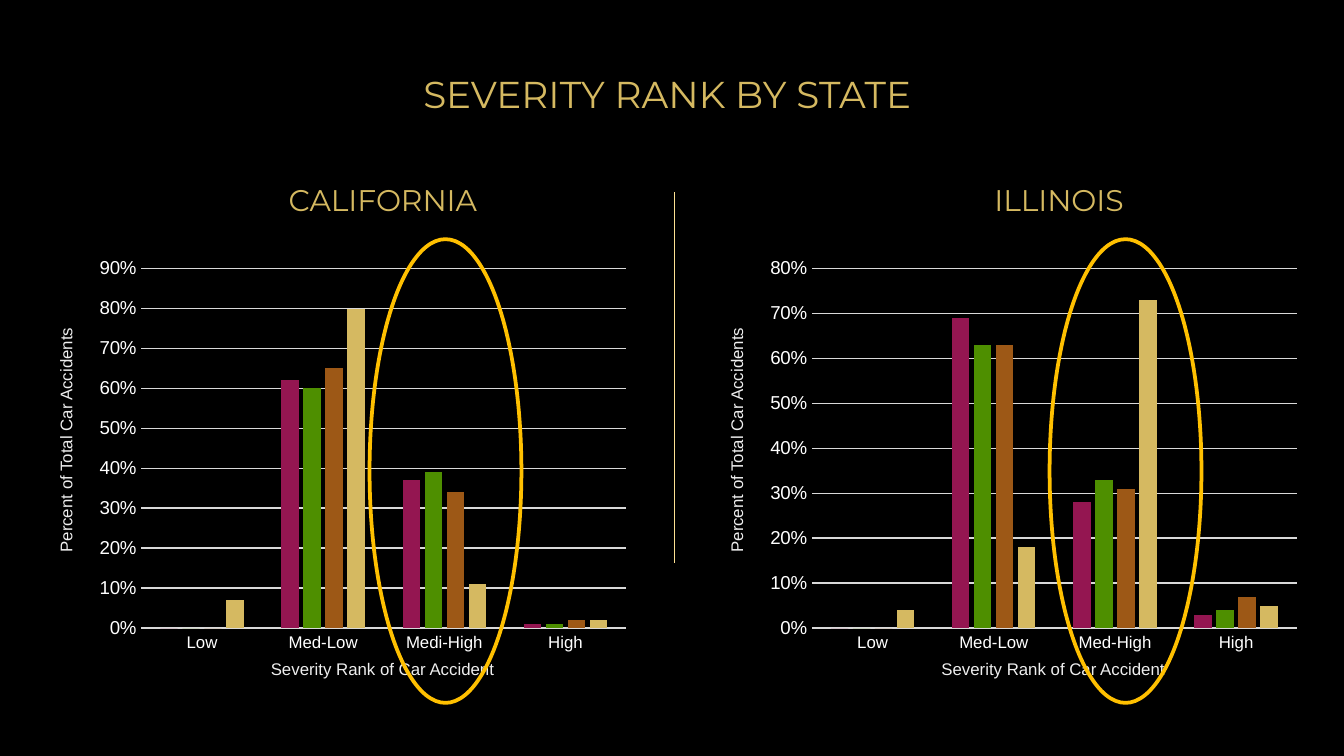
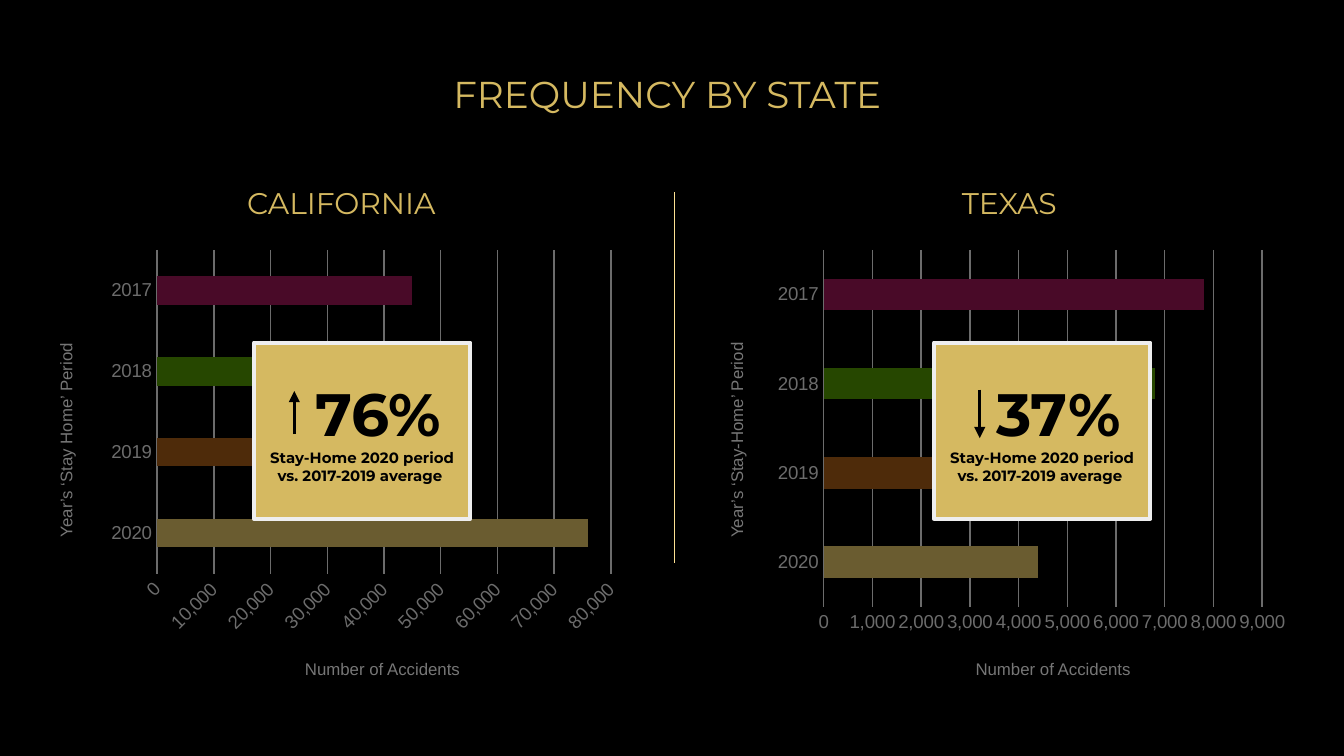
from lxml.etree import SubElement
from pptx import Presentation
from pptx.chart.data import CategoryChartData
from pptx.dml.color import RGBColor
from pptx.enum.chart import XL_CHART_TYPE as CT, XL_TICK_MARK as TICK
from pptx.enum.shapes import MSO_CONNECTOR, MSO_SHAPE
from pptx.enum.text import MSO_ANCHOR, MSO_AUTO_SIZE, PP_ALIGN
from pptx.oxml.ns import qn
from pptx.util import Inches, Pt

BLACK, WHITE, GOLD, PALE, GRID = "000000", "FFFFFF", "D5B961", "EEEEEE", "D9D9D9"
YEAR_COLORS = ["941651", "4E8F00", "9D5816", GOLD]
HEAD_FONT, BODY_FONT = "Montserrat", "Arial"
COLUMN_STEP, BAR_STEP = 4.99, 4.96


def rgb(value):
    return RGBColor.from_string(value)


def style_font(font, name, size, color, bold=None):
    font.name, font.size, font.bold = name, Pt(size), bold
    font.color.rgb = rgb(color)


class Deck:
    def __init__(self):
        self.prs = Presentation()
        self.prs.slide_width = Inches(10)
        self.prs.slide_height = Inches(10) * 9 // 16
        self.s = None

    def slide(self, title):
        self.s = self.prs.slides.add_slide(self.prs.slide_layouts[6])
        fill = self.s.background.fill
        fill.solid()
        fill.fore_color.rgb = rgb(BLACK)
        self.heading(title, 0.84, 0.4, 8.25, 20)
        self.line(5.02, 1.43, 4.19, "FCE193", 0.75)

    def text(self, text, x, y, w, h, font, size, color):
        sp = self.s.shapes.add_textbox(Inches(x), Inches(y), Inches(w), Inches(h))
        tf = sp.text_frame
        tf.word_wrap = True
        tf.text = text
        p = tf.paragraphs[0]
        p.alignment = PP_ALIGN.CENTER
        style_font(p.runs[0].font, font, size, color)
        return sp

    def heading(self, text, x, y, w, size=16):
        sp = self.text(text, x, y, w, 0.56, HEAD_FONT, size, GOLD)
        sp.text_frame.vertical_anchor = MSO_ANCHOR.BOTTOM
        self.inset(sp.text_frame)

    def inset(self, tf):
        tf.margin_left = tf.margin_right = Inches(0.1)
        tf.margin_top = tf.margin_bottom = Inches(0.1)

    def axis_titles(self, side, vertical, horizontal):
        dx = side * COLUMN_STEP
        v = self.text(vertical, -1.08 + dx, 3.15, 3.14, 0.25, BODY_FONT, 9, PALE)
        v.rotation = 270
        h = self.text(horizontal, 0.82 + dx, 4.85, 4.05, 0.25, BODY_FONT, 9, PALE)
        for sp in (v, h):
            sp.text_frame.auto_size = MSO_AUTO_SIZE.SHAPE_TO_FIT_TEXT

    def line(self, x, y1, y2, color, width, arrow=False):
        c = self.s.shapes.add_connector(
            MSO_CONNECTOR.STRAIGHT, Inches(x), Inches(y1), Inches(x), Inches(y2))
        c.line.color.rgb = rgb(color)
        c.line.width = Pt(width)
        if arrow:
            ln = c._element.spPr.find(qn("a:ln"))
            SubElement(ln, qn("a:tailEnd"), type="triangle")
        SubElement(c._element.spPr, qn("a:effectLst"))

    def shape(self, kind, x, y, w, h, fill=None, line=None, width=1, alpha=None):
        sp = self.s.shapes.add_shape(kind, Inches(x), Inches(y), Inches(w), Inches(h))
        sp.shadow.inherit = False
        if fill:
            sp.fill.solid()
            sp.fill.fore_color.rgb = rgb(fill)
        else:
            sp.fill.background()
        if alpha:
            color = sp._element.spPr.find(qn("a:solidFill")).find(qn("a:srgbClr"))
            SubElement(color, qn("a:alpha"), val=str(alpha * 1000))
        if line:
            sp.line.color.rgb = rgb(line)
            sp.line.width = Pt(width)
        else:
            sp.line.fill.background()
        return sp

    def chart(self, kind, box, cats, rows, fmt, top, unit, gap, overlap):
        data = CategoryChartData(number_format=fmt)
        data.categories = cats
        for i, row in enumerate(rows, 1):
            data.add_series(f"Series {i}", row)
        chart = self.s.shapes.add_chart(kind, *map(Inches, box), data).chart
        chart.has_title = chart.has_legend = False
        style_font(chart.font, BODY_FONT, 10, BLACK)
        plot = chart.plots[0]
        plot.gap_width, plot.overlap, plot.vary_by_categories = gap, overlap, False
        axis = chart.value_axis
        axis.minimum_scale, axis.maximum_scale, axis.major_unit = 0, top, unit
        axis.tick_labels.number_format = fmt
        axis.tick_labels.number_format_is_linked = False
        grid = axis.major_gridlines.format.line
        grid.color.rgb = rgb(GRID)
        grid.width = Pt(0.75)
        for ax in (axis, chart.category_axis):
            ax.major_tick_mark = ax.minor_tick_mark = TICK.NONE
            ax.format.line.fill.background()
        return chart

    def fill_bar(self, item, color):
        item.format.fill.solid()
        item.format.fill.fore_color.rgb = rgb(color)

    def severity_chart(self, side, cats, rows, top):
        box = (0.66 + side * COLUMN_STEP, 1.86, 4.08, 3.06)
        chart = self.chart(CT.COLUMN_CLUSTERED, box, cats, rows, "0%", top, 0.1, 219, -27)
        axis = chart.category_axis
        axis.format.line.color.rgb = rgb(GRID)
        axis.format.line.width = Pt(0.75)
        style_font(axis.tick_labels.font, BODY_FONT, 9, WHITE)
        style_font(chart.value_axis.tick_labels.font, BODY_FONT, 10, WHITE)
        for series, color in zip(chart.plots[0].series, YEAR_COLORS):
            self.fill_bar(series, color)

    def frequency_chart(self, side, values, top, unit):
        box = (0.75 + side * BAR_STEP, 1.8, 3.93, 2.97)
        years = ["2020", "2019", "2018", "2017"]
        chart = self.chart(CT.BAR_CLUSTERED, box, years, [values], "#,##0", top, unit, 182, 0)
        for axis in (chart.category_axis, chart.value_axis):
            style_font(axis.tick_labels.font, BODY_FONT, 10, GRID)
        series = chart.plots[0].series[0]
        self.fill_bar(series, GOLD)
        for i, color in enumerate(reversed(YEAR_COLORS)):
            self.fill_bar(series.points[i], color)

    def change_card(self, x, percent):
        sp = self.shape(MSO_SHAPE.RECTANGLE, x, 2.55, 1.61, 1.31, GOLD, PALE, 2.25)
        tf = sp.text_frame
        tf.word_wrap = True
        tf.vertical_anchor = MSO_ANCHOR.MIDDLE
        self.inset(tf)
        tf.text = percent
        tf.add_paragraph().text = "Stay-Home 2020 period vs. 2017-2019 average "
        for p, size in zip(tf.paragraphs, (32, 8)):
            p.alignment = PP_ALIGN.CENTER
            style_font(p.runs[0].font, HEAD_FONT, size, BLACK, True)
        pPr = tf.paragraphs[0]._p.get_or_add_pPr()
        pPr.set("marL", str(Inches(0.24)))
        pPr.set("indent", "0")


def severity_slide(deck):
    deck.slide("SEVERITY RANK BY STATE")
    states = [
        ("CALIFORNIA", 1.53, 2.64, "Medi-High", 0.9, 2.75,
         [(0, 0.62, 0.37, 0.01), (0, 0.6, 0.39, 0.01),
          (0, 0.65, 0.34, 0.02), (0.07, 0.8, 0.11, 0.02)]),
        ("ILLINOIS", 6.39, 2.98, "Med-High", 0.8, 7.81,
         [(0, 0.69, 0.28, 0.03), (0, 0.63, 0.33, 0.04),
          (0, 0.63, 0.31, 0.07), (0.04, 0.18, 0.73, 0.05)]),
    ]
    for side, (state, x, w, third, top, ring_x, rows) in enumerate(states):
        deck.heading(state, x, 1.16, w)
        deck.severity_chart(side, ["Low", "Med-Low", third, "High"], rows, top)
        deck.axis_titles(side, "Percent of Total Car Accidents",
                         "Severity Rank of Car Accident")
        deck.shape(MSO_SHAPE.OVAL, ring_x, 1.78, 1.13, 3.45, line="FFC000", width=2)


def frequency_slide(deck):
    deck.slide("FREQUENCY BY STATE")
    states = [
        ("CALIFORNIA", 1.22, 2.64, "Year’s ‘Stay Home’ Period",
         (76000, 38000, 46000, 45000), 80000, 10000,
         (0, 4.91), 1.89, "76%", (2.19, 3.23, 2.91)),
        ("TEXAS", 6.02, 2.98, "Year’s ‘Stay-Home’ Period",
         (4400, 6500, 6800, 7800), 9000, 1000,
         (5.12, 4.74), 6.95, "37%", (7.29, 2.9, 3.26)),
    ]
    for side, (state, x, w, period, values, top, unit,
               shade, card_x, percent, arrow) in enumerate(states):
        deck.heading(state, x, 1.18, w)
        deck.axis_titles(side, period, "Number of Accidents")
        deck.frequency_chart(side, values, top, unit)
        deck.shape(MSO_SHAPE.RECTANGLE, shade[0], 1.74, shade[1], 3.52, BLACK, alpha=50)
        deck.change_card(card_x, percent)
        deck.line(*arrow, BLACK, 1.5, arrow=True)


def main():
    deck = Deck()
    severity_slide(deck)
    frequency_slide(deck)
    deck.prs.save("out.pptx")


if __name__ == "__main__":
    main()
